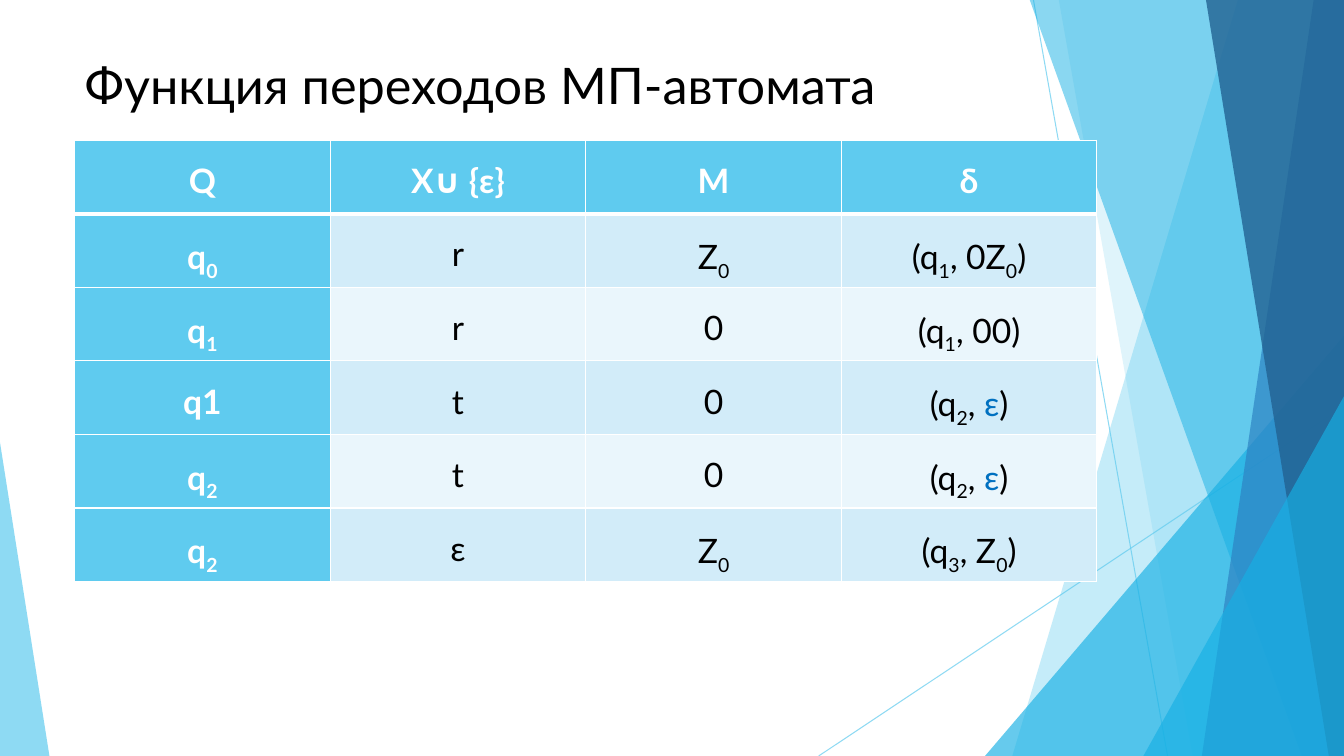
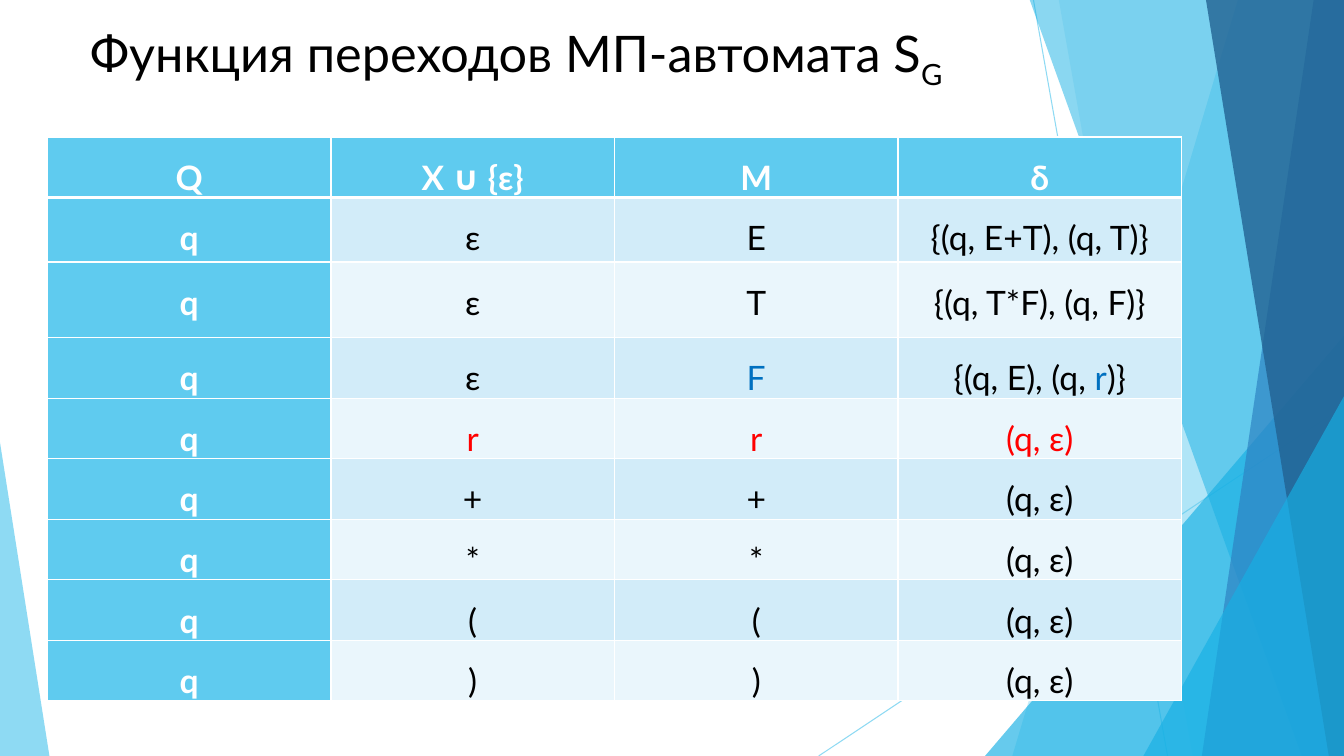
import pptx
import pptx.util
import pptx.dml.color
import pptx.enum.shapes
import pptx.enum.text
import pptx.oxml.ns
import lxml.etree

Inches, Pt = pptx.util.Inches, pptx.util.Pt
qn = pptx.oxml.ns.qn
SHAPE = pptx.enum.shapes.MSO_SHAPE
ALIGN = pptx.enum.text.PP_ALIGN

COLORS = {
    "text": "000000", "white": "FFFFFF", "sky": "5FCBEF", "cyan": "17B0E4",
    "blue": "2E83C3", "navy": "226292", "odd": "D2ECF9", "even": "EAF6FC",
    "accent": "0070C0", "red": "FF0000",
}
RGB = {name: pptx.dml.color.RGBColor.from_string(c) for name, c in COLORS.items()}
TITLE = {"name": "Lato", "size": Pt(36), "bold": False}
HEAD = {"name": "Lato", "size": Pt(24), "bold": True}
BODY = {**HEAD, "bold": False}
MARKS = {"~": "accent", "!": "red"}
W, H = 13.33, 7.5


def set_alpha(shape, percent):
    color = next(shape.element.iter(qn("a:srgbClr")))
    lxml.etree.SubElement(color, qn("a:alpha"), val=str(percent * 1000))


def add_runs(p, text, fmt, color):
    """Pieces are split by |; a leading _ is a subscript, ~ and ! are colours."""
    for piece in text.split("|"):
        mark = piece[0]
        r = p.add_run()
        r.text = piece[1:] if mark == "_" or mark in MARKS else piece
        for key, value in fmt.items():
            setattr(r.font, key, value)
        r.font.color.rgb = RGB[MARKS.get(mark, color)]
        if mark == "_":
            r._r.get_or_add_rPr().set("baseline", "-25000")


# Slide contents
decks = [
    {
        "title": "Функция переходов МП-автомата",
        "title_at": (0.74, 0.49, 9.4, 0.74),
        "table_at": (0.74, 1.39, 10.14, 4.38),
        "heights": [0.73] * 6,
        "rows": [
            ("Q", "X∪ {ε}", "M", "δ"),
            ("q|_0", "r", "Z|_0", "(q|_1|, 0Z|_0|)"),
            ("q|_1", "r", "0", "(q|_1|, 00)"),
            ("q1", "t", "0", "(q|_2|, |~ε|)"),
            ("q|_2", "t", "0", "(q|_2|, |~ε|)"),
            ("q|_2", "ε", "Z|_0", "(q|_3|, Z|_0|)"),
        ],
    },
    {
        "title": "Функция переходов МП-автомата S|_G",
        "title_at": (0.79, 0.17, 9.4, 1.44),
        "table_at": (0.47, 1.36, 11.25, 5.59),
        "heights": [0.54, 0.64, 0.75] + [0.54] * 6,
        "rows": [
            ("Q", "X ∪ {ε}", "M", "δ"),
            ("q", "ε", "E", "{(q, E+T), (q, T)}"),
            ("q", "ε", "T", "{(q, T*F), (q, F)}"),
            ("q", "ε", "~F", "{(q, E), (q, |~r|)}"),
            ("q", "!r", "!r", "!(q, ε)"),
            *[("q", sign, sign, "(q, ε)") for sign in "+*()"],
        ],
    },
]

prs = pptx.Presentation()
prs.slide_width, prs.slide_height = Inches(W), Inches(H)
layout = prs.slide_layouts[5]
for ph in list(layout.placeholders)[1:]:
    ph.element.getparent().remove(ph.element)
slides = [prs.slides.add_slide(layout) for _ in decks]

# Shared decoration: built as one group, then moved to the layout
group = slides[0].shapes.add_group_shape()
for ends in [(10.25, 0, 11.58, H), (W, 4.03, 8.12, H)]:
    line = group.shapes.add_connector(
        pptx.enum.shapes.MSO_CONNECTOR.STRAIGHT, *map(Inches, ends))
    line.line.color.rgb = RGB["sky"]
    line.line.width = Pt(0.75)
    set_alpha(line, 70)
    lxml.etree.SubElement(line.element.spPr, qn("a:effectLst"))

# Bands give top and bottom x of the left edge; triangles give box and apex
facets = [
    ("band", (12.28, 10.04), "sky", 36),
    ("band", (10.5, 11.83), "sky", 20),
    ("triangle", (9.77, 3.33, 3.56, 4.17, 1), "cyan", 66),
    ("band", (10.21, 12.91), "cyan", 50),
    ("band", (13.03, 11.92), "blue", 70),
    ("band", (11.96, 13.18), "navy", 80),
    ("triangle", (11.34, 3.93, 1.99, 3.57, 1), "cyan", 66),
    ("triangle", (0, 4.39, 0.49, 3.11, 0), "sky", 70),
]
for kind, geometry, color, alpha in facets:
    if kind == "band":
        top, bottom = geometry
        outline = group.shapes.build_freeform(Inches(top), Inches(-0.01))
        outline.add_line_segments(
            [(Inches(x), Inches(y)) for x, y in [(W, -0.01), (W, H), (bottom, H)]])
        facet = outline.convert_to_shape()
    else:
        *box, apex = geometry
        facet = group.shapes.add_shape(SHAPE.ISOSCELES_TRIANGLE, *map(Inches, box))
        facet.adjustments[0] = apex
    facet.shadow.inherit = False
    facet.line.fill.background()
    facet.fill.solid()
    facet.fill.fore_color.rgb = RGB[color]
    set_alpha(facet, alpha)
layout.shapes.element.insert(2, group.element)

for s, deck in zip(slides, decks):
    # Title
    title = s.shapes.title
    title.left, title.top, title.width, title.height = map(Inches, deck["title_at"])
    tf = title.text_frame
    tf.word_wrap = True
    tf.auto_size = pptx.enum.text.MSO_AUTO_SIZE.NONE
    tf.vertical_anchor = pptx.enum.text.MSO_ANCHOR.TOP
    tf.paragraphs[0].alignment = ALIGN.LEFT
    add_runs(tf.paragraphs[0], deck["title"], TITLE, "text")

    # Transition table
    rows = deck["rows"]
    table = s.shapes.add_table(
        len(rows), len(rows[0]), *map(Inches, deck["table_at"])).table
    table.first_col = True
    for i, (height, row) in enumerate(zip(deck["heights"], rows)):
        table.rows[i].height = Inches(height)
        for j, text in enumerate(row):
            cell = table.cell(i, j)
            is_head = i == 0 or j == 0
            cell.margin_left = cell.margin_right = Inches(0.07)
            cell.margin_top = cell.margin_bottom = 0
            cell.fill.solid()
            cell.fill.fore_color.rgb = RGB[
                "sky" if is_head else "odd" if i % 2 else "even"]
            p = cell.text_frame.paragraphs[0]
            p.alignment = ALIGN.CENTER
            p.line_spacing = 1.5
            add_runs(p, text, HEAD if is_head else BODY,
                     "white" if is_head else "text")
            # Cell borders, thicker under the header row
            tcPr = cell._tc.get_or_add_tcPr()
            for k, side in enumerate("LRTB"):
                thick = (side == "B" and i == 0) or (side == "T" and i == 1)
                ln = lxml.etree.Element(qn("a:ln" + side), w=str(Pt(3 if thick else 1)))
                fill = lxml.etree.SubElement(ln, qn("a:solidFill"))
                lxml.etree.SubElement(fill, qn("a:srgbClr"), val=COLORS["white"])
                tcPr.insert(k, ln)

prs.save("out.pptx")
